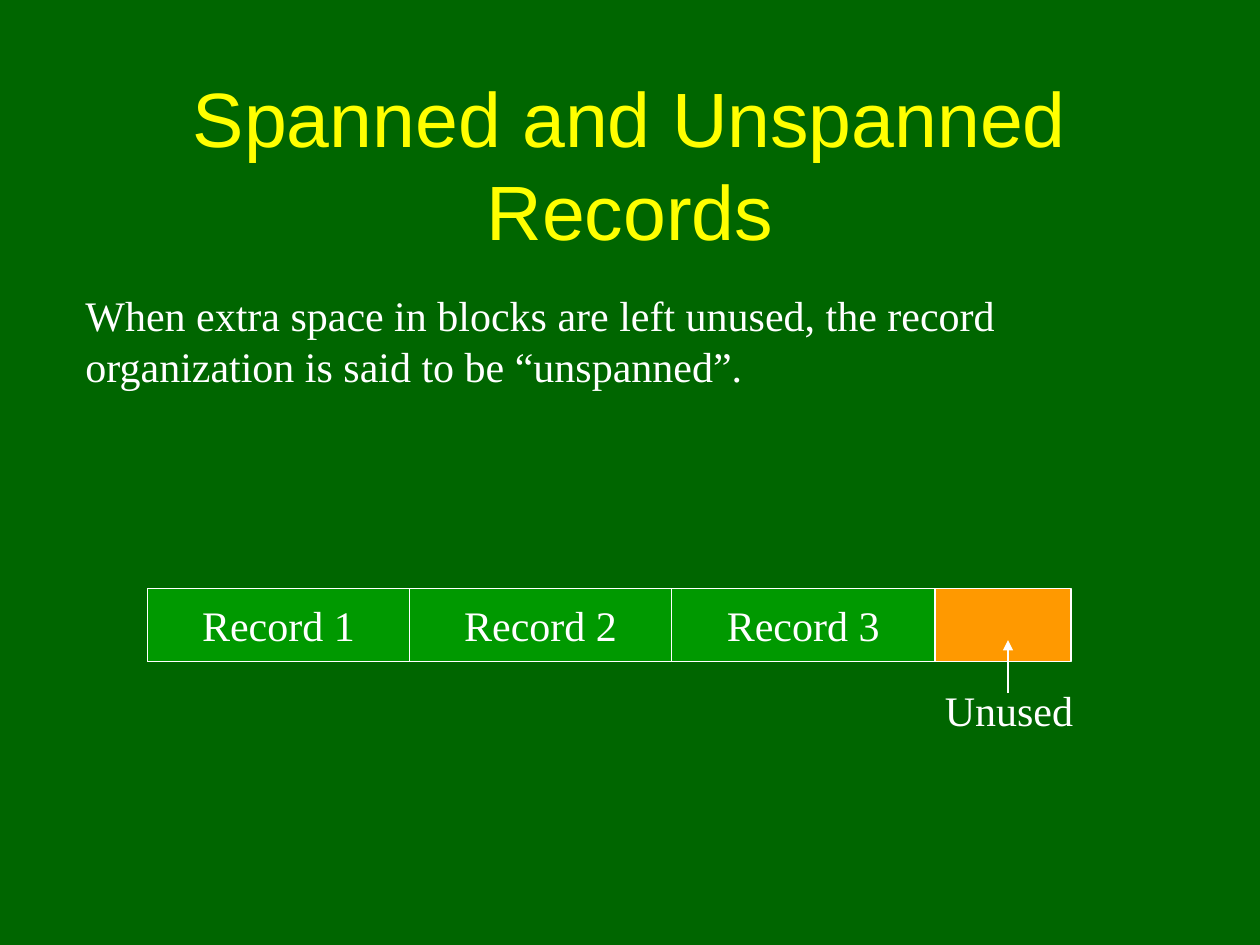
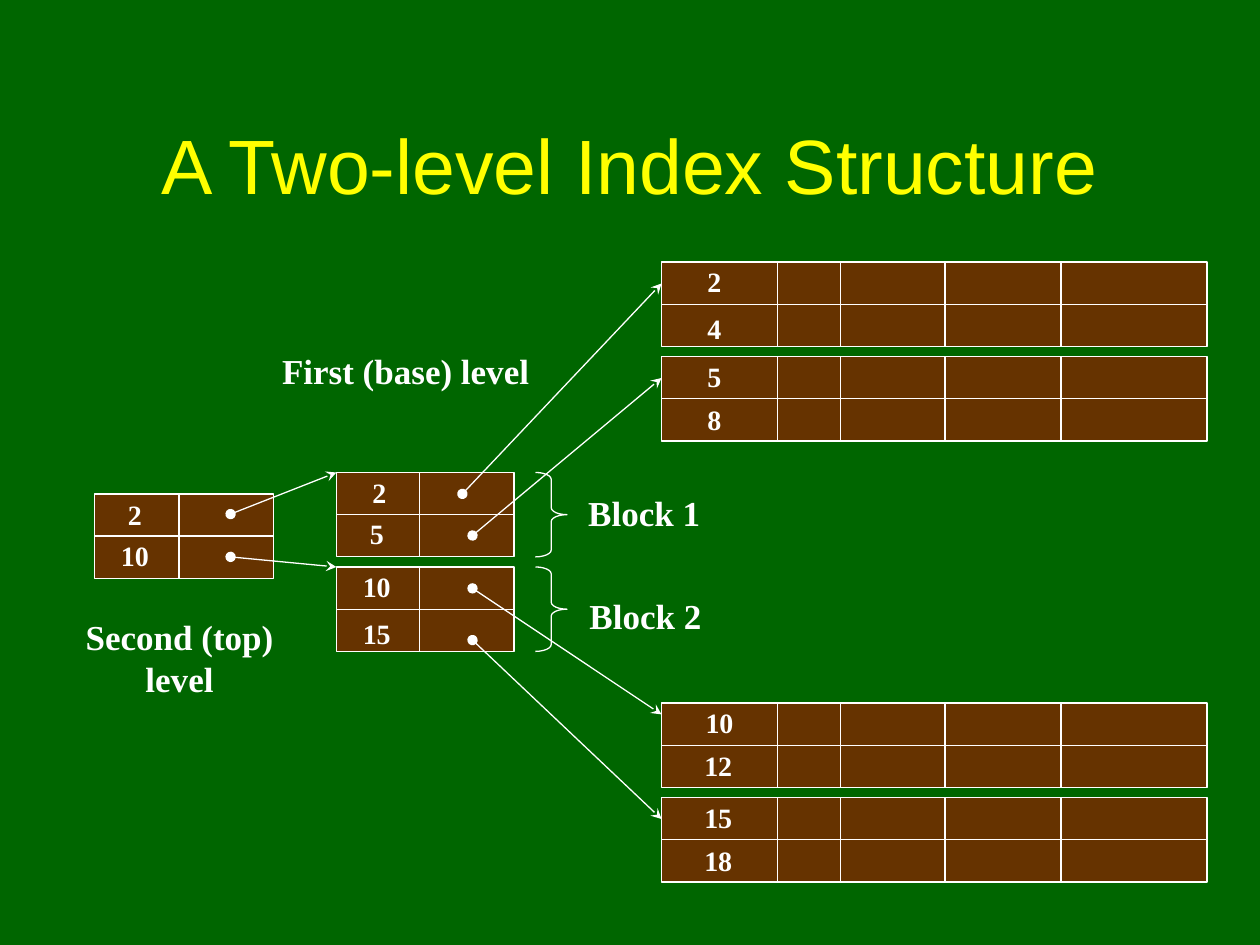
"""Build two slides on record spanning and a two-level index."""
from itertools import pairwise
from typing import Any, NamedTuple

from pptx import Presentation
from pptx import util as u
from pptx.dml.color import RGBColor
from pptx.enum import shapes, text
from pptx.oxml import ns, xmlchemy
from pptx.oxml.xmlchemy import OxmlElement

GREEN = RGBColor(0x00, 0x66, 0x00)
RECORD_GREEN = RGBColor(0x00, 0x99, 0x00)
ORANGE = RGBColor(0xFF, 0x99, 0x00)
BROWN = RGBColor(0x66, 0x33, 0x00)
WHITE = RGBColor(0xFF, 0xFF, 0xFF)
YELLOW = RGBColor(0xFF, 0xFF, 0x00)

SERIF = "Times New Roman"
TITLE_FONT = {"name": "Arial", "size": u.Pt(44)}
BODY_FONT = {"name": SERIF, "size": u.Pt(24)}
LABEL_FONT = {"name": SERIF, "size": u.Pt(20), "bold": True}
KEY_FONT = {"name": SERIF, "size": u.Pt(16), "bold": True}

CENTER = text.PP_ALIGN.CENTER
LEFT = text.PP_ALIGN.LEFT
MIDDLE = text.MSO_ANCHOR.MIDDLE
TOP = text.MSO_ANCHOR.TOP
LINE_WIDTH = u.Pt(0.75)
BLOCK_HEIGHT = 0.67


class Area(NamedTuple):
    """A rectangle in inches."""
    left: float
    top: float
    width: float
    height: float

    def lengths(self) -> list[u.Length]:
        """Return the sides as slide lengths."""
        return [u.Inches(side) for side in self]


class Line(NamedTuple):
    """A straight line in inches, with optional ends."""
    x1: float
    y1: float
    x2: float
    y2: float
    head: str = ""
    tail: str = ""


class Key(NamedTuple):
    """A key value and the centre of its text."""
    value: str
    x: float
    y: float


class Block(NamedTuple):
    """A two-row block with its column edges and keys."""
    top: float
    edges: tuple[float, ...]
    keys: tuple[Key, Key]


class Label(NamedTuple):
    """A caption with its area and layout."""
    lines: tuple[str, ...]
    area: Area
    align: Any = LEFT
    anchor: Any = TOP


TOP_EDGES = (0.75, 1.42, 2.17)
BASE_EDGES = (2.67, 3.33, 4.08)
DATA_EDGES = (5.25, 6.17, 6.67, 7.5, 8.42, 9.58)

BLOCKS = (
    Block(3.92, TOP_EDGES, (Key("2", 1.07, 4.08), Key("10", 1.07, 4.4))),
    Block(2.08, DATA_EDGES, (Key("2", 5.67, 2.23), Key("4", 5.67, 2.6))),
    Block(2.83, DATA_EDGES, (Key("5", 5.67, 2.98), Key("8", 5.67, 3.32))),
    Block(5.58, DATA_EDGES, (Key("10", 5.71, 5.73), Key("12", 5.7, 6.07))),
    Block(6.33, DATA_EDGES, (Key("15", 5.7, 6.48), Key("18", 5.7, 6.82))),
    Block(3.75, BASE_EDGES, (Key("2", 3.01, 3.9), Key("5", 2.99, 4.23))),
    Block(4.5, BASE_EDGES, (Key("10", 2.99, 4.65), Key("15", 2.99, 5.02))),
)
POINTERS = (
    (1.83, 4.08, 2.67, 3.75),
    (3.67, 3.92, 5.25, 2.25),
    (3.75, 4.25, 5.25, 3),
    (1.83, 4.42, 2.67, 4.5),
    (3.75, 4.67, 5.25, 5.67),
    (3.75, 5.08, 5.25, 6.5),
)
LABELS = (
    Label(("First (base) level",), Area(2.14, 2.72, 2.16, 0.44), CENTER, MIDDLE),
    Label(("Second (top)", "level"), Area(0.58, 4.83, 1.69, 0.77), CENTER, MIDDLE),
    Label(("Block 1",), Area(4.57, 3.85, 1.09, 0.44)),
    Label(("Block 2",), Area(4.58, 4.67, 1.09, 0.44)),
)


def set_values(target: Any, values: dict[str, Any]) -> None:
    """Set each named attribute on the target."""
    for name, value in values.items():
        setattr(target, name, value)


def write(box: Any, lines: tuple[str, ...], font: dict[str, Any], align: Any = LEFT,
          anchor: Any = TOP, wrap: bool = False, color: RGBColor = WHITE) -> None:
    """Fill a box with formatted lines of text."""
    frame = box.text_frame
    set_values(frame, {"word_wrap": wrap, "vertical_anchor": anchor})
    for index, line in enumerate(lines):
        para = frame.add_paragraph() if index else frame.paragraphs[0]
        para.alignment = align
        span = para.add_run()
        span.text = line
        set_values(span.font, font)
        span.font.color.rgb = color


def add_text(page: Any, area: Area, lines: tuple[str, ...], font: dict[str, Any],
             **layout: Any) -> None:
    """Add a text box."""
    write(page.shapes.add_textbox(*area.lengths()), lines, font, **layout)


def outline(shape: Any) -> None:
    """Give a shape or connector the common thin white line."""
    shape.line.color.rgb = WHITE
    shape.line.width = LINE_WIDTH


def add_rect(page: Any, area: Area, color: RGBColor) -> Any:
    """Add a filled rectangle."""
    rect = page.shapes.add_shape(shapes.MSO_SHAPE.RECTANGLE, *area.lengths())
    rect.shadow.inherit = False
    rect.fill.solid()
    rect.fill.fore_color.rgb = color
    outline(rect)
    return rect


def add_line(page: Any, line: Line) -> None:
    """Add a connector with any end marks."""
    ends = [u.Inches(value) for value in line[:4]]
    connector = page.shapes.add_connector(shapes.MSO_CONNECTOR.STRAIGHT, *ends)
    outline(connector)
    properties = connector.element.spPr
    stroke = properties.find(ns.qn("a:ln"))
    for tag, kind in (("a:headEnd", line.head), ("a:tailEnd", line.tail)):
        if kind:
            mark = OxmlElement(tag)
            mark.set("type", kind)
            stroke.append(mark)
    properties.append(OxmlElement("a:effectLst"))


def add_brace(page: Any, area: Area) -> None:
    """Add a right brace beside a block."""
    brace = page.shapes.add_shape(shapes.MSO_SHAPE.RIGHT_BRACE, *area.lengths())
    brace.shadow.inherit = False
    brace.fill.background()
    brace.adjustments[0] = 0.22
    outline(brace)


def add_block(page: Any, block: Block) -> None:
    """Add a block, its grid lines and its keys."""
    left, *inner, right = block.edges
    bottom = block.top + BLOCK_HEIGHT
    middle = block.top + BLOCK_HEIGHT / 2
    add_rect(page, Area(left, block.top, right - left, BLOCK_HEIGHT), BROWN)
    add_line(page, Line(left, middle, right, middle))
    for edge in inner:
        add_line(page, Line(edge, block.top, edge, bottom))
    for key in block.keys:
        width = 0.2 + 0.11 * len(key.value)
        area = Area(key.x - width / 2, key.y - 0.18, width, 0.37)
        add_text(page, area, (key.value,), KEY_FONT, align=CENTER, anchor=MIDDLE)


def add_page(deck: Any, title: str) -> Any:
    """Add a green page with a yellow title."""
    page = deck.slides.add_slide(deck.slide_layouts[6])
    page.background.fill.solid()
    page.background.fill.fore_color.rgb = GREEN
    add_text(page, Area(0.75, 0.67, 8.5, 1.25), (title,), TITLE_FONT,
             align=CENTER, anchor=MIDDLE, wrap=True, color=YELLOW)
    return page


def build_records(deck: Any) -> None:
    """Build the page on unspanned records."""
    page = add_page(deck, "Spanned and Unspanned Records")
    sentence = ("When extra space in blocks are left unused, the record "
                "organization is said to be “unspanned”.")
    add_text(page, Area(0.58, 2.25, 8.68, 0.9), (sentence,), BODY_FONT, wrap=True)
    add_rect(page, Area(1.17, 4.67, 7.33, 0.58), ORANGE)
    record_edges = (1.17, 3.25, 5.33, 7.42)
    for number, (left, right) in enumerate(pairwise(record_edges), 1):
        record = add_rect(page, Area(left, 4.67, right - left, 0.58), RECORD_GREEN)
        write(record, (f"Record {number}",), BODY_FONT, CENTER, MIDDLE)
    add_text(page, Area(7.4, 5.38, 1.22, 0.5), ("Unused",), BODY_FONT)
    add_line(page, Line(8, 5.5, 8, 5.08, tail="triangle"))


def build_index(deck: Any) -> None:
    """Build the page on the two-level index."""
    page = add_page(deck, "A Two-level Index Structure")
    for block in BLOCKS:
        add_block(page, block)
        if block.edges == BASE_EDGES:
            add_brace(page, Area(4.25, block.top, 0.25, BLOCK_HEIGHT))
    for pointer in POINTERS:
        add_line(page, Line(*pointer, head="oval", tail="stealth"))
    for label in LABELS:
        add_text(page, label.area, label.lines, LABEL_FONT,
                 align=label.align, anchor=label.anchor)


def main() -> None:
    """Build and save the deck."""
    deck = Presentation()
    set_values(deck, {"slide_width": u.Inches(10), "slide_height": u.Inches(7.5)})
    build_records(deck)
    build_index(deck)
    deck.save("out.pptx")


if __name__ == "__main__":
    main()
